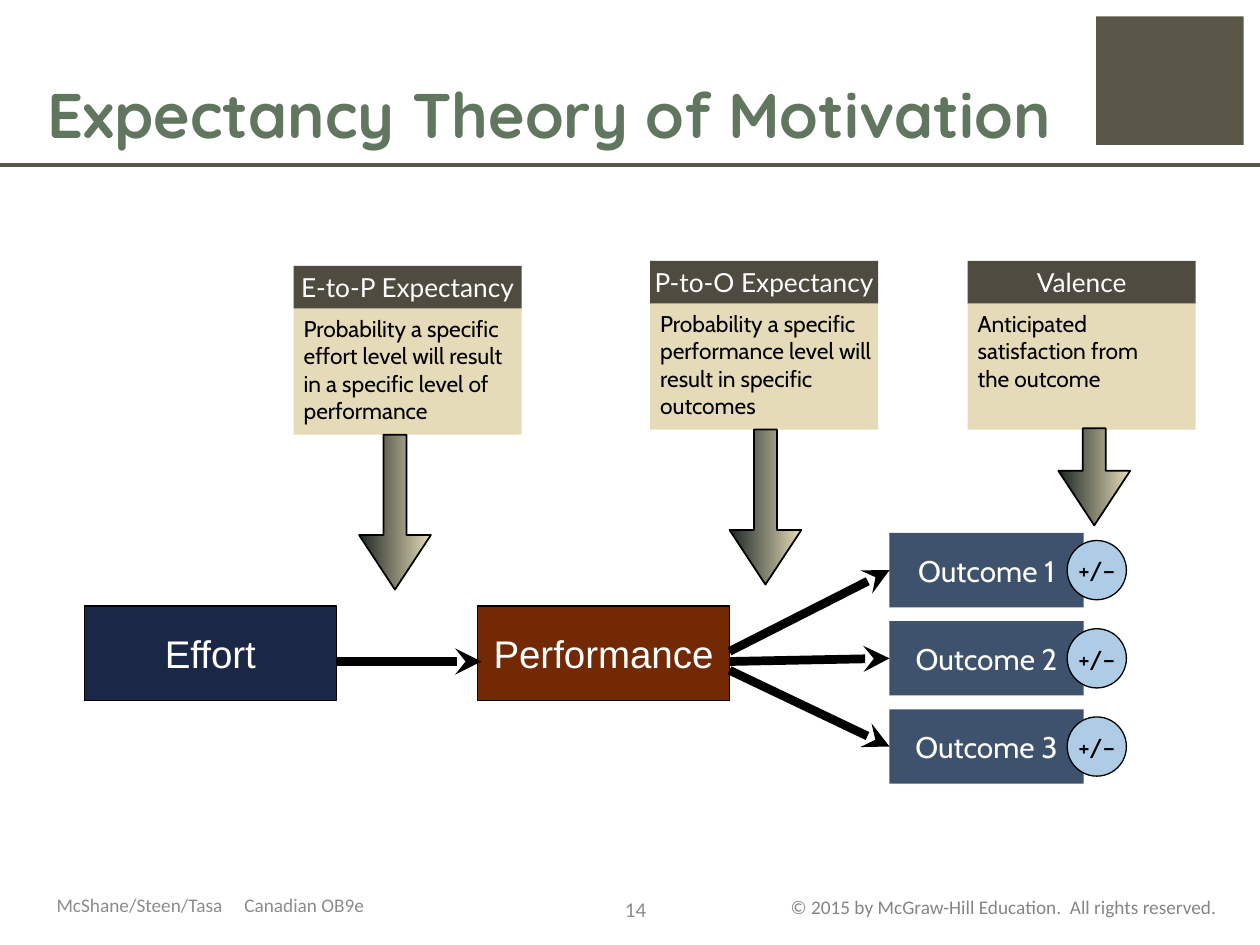
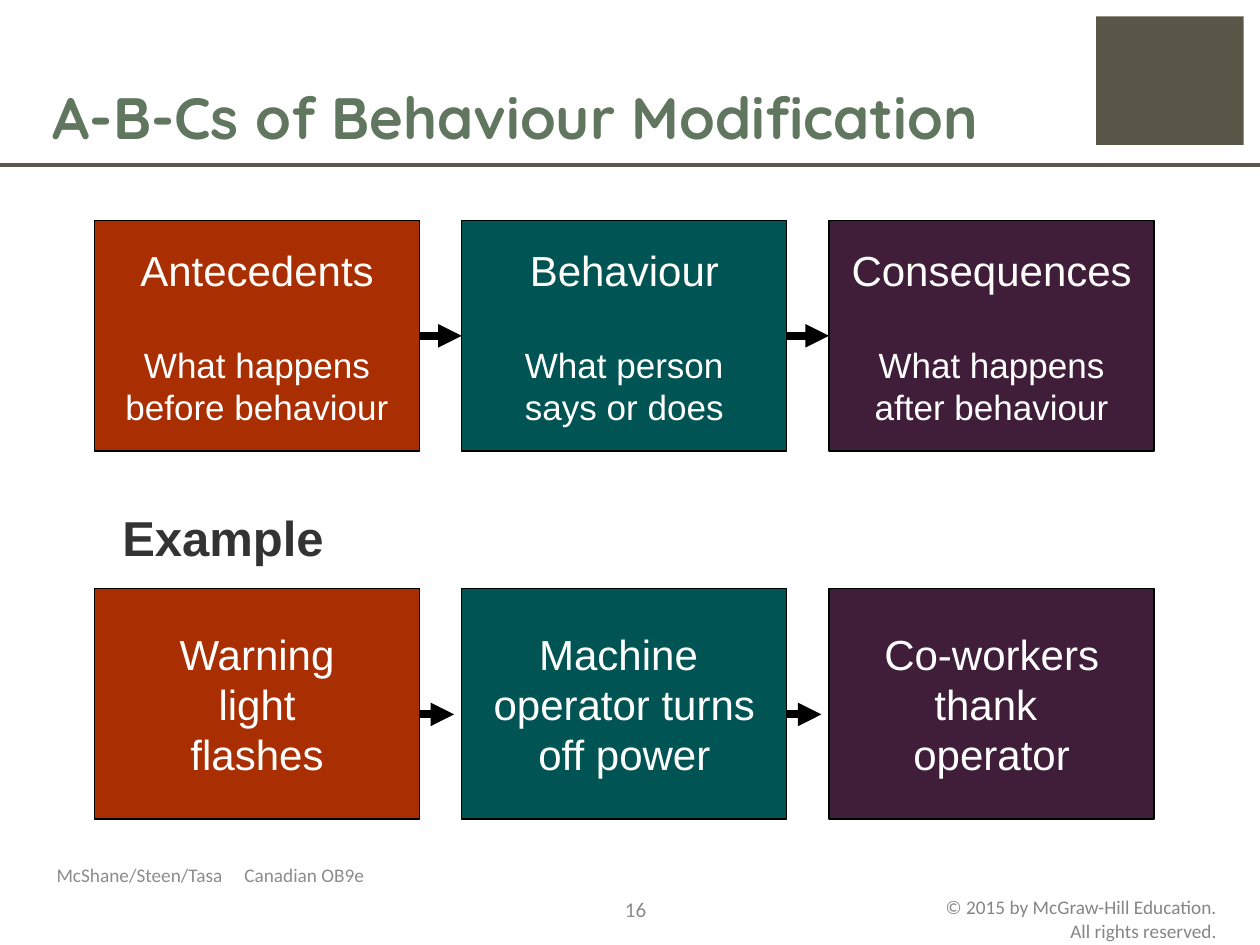
from typing import NamedTuple

from lxml import etree
from pptx import Presentation
from pptx.dml.color import RGBColor
from pptx.enum.shapes import MSO_CONNECTOR, MSO_SHAPE
from pptx.enum.text import MSO_ANCHOR, PP_ALIGN
from pptx.oxml.ns import qn
from pptx.util import Inches, Pt

RECT, OVAL, ARROW = MSO_SHAPE.RECTANGLE, MSO_SHAPE.OVAL, MSO_SHAPE.DOWN_ARROW
STRAIGHT = MSO_CONNECTOR.STRAIGHT
LEFT, CENTER, RIGHT = PP_ALIGN.LEFT, PP_ALIGN.CENTER, PP_ALIGN.RIGHT
TOP, MIDDLE, BOTTOM = MSO_ANCHOR.TOP, MSO_ANCHOR.MIDDLE, MSO_ANCHOR.BOTTOM
LEFT_SIDE, RIGHT_SIDE = 1, 3

COLORS = {
    "black": "000000", "white": "FFFFFF", "cream": "FFFEFB",
    "band": "5B5748", "title": "61765E", "rights": "858585", "foot": "8C8C8C",
    "head": "4F4B40", "sand": "E6DBB9", "dark": "1C2724",
    "slate": "3E526E", "sky": "AECCE6", "navy": "1B2747", "brown": "742905",
    "rust": "A92E01", "teal": "005454", "plum": "401E3A", "label": "333333",
}
EDGES = (0.1, 0.05, 0.1, 0.05)
FLUSH = (0, 0, 0, 0)


class Box(NamedTuple):
    left: float
    top: float
    width: float
    height: float


class Style(NamedTuple):
    font: str
    size: float
    color: str = "white"
    align: PP_ALIGN = CENTER
    anchor: MSO_ANCHOR = MIDDLE
    bold: bool = False
    wrap: bool = True
    insets: tuple = EDGES


class Page(NamedTuple):
    title: str
    size: float
    place: Box
    number: str
    credit: Box
    rights: Box


class Card(NamedTuple):
    left: float
    top: float
    head: str
    body: str
    arrow: Box


class Step(NamedTuple):
    color: str
    name: str
    about: tuple
    example: tuple


HEAD = Style("Lato", 15, insets=FLUSH)
BODY = Style("Cabin", 13, "black", LEFT, TOP, insets=(0.08, 0.05, 0.04, 0))
RESULT = Style("Cabin", 17, insets=FLUSH)
SIGN = Style("Cabin", 14, "black", insets=FLUSH)
STAGE = Style("Arial", 22, wrap=False)
STEP = Style("Arial", 24, wrap=False)
LABEL = Style("Arial", 28, "label", bold=True, wrap=False)
RIGHTS = Style("Calibri", 11, "rights", RIGHT, TOP)
CREDIT = Style("Calibri", 11, "foot", LEFT, TOP)
NUMBER = Style("Calibri", 12, "foot")

PAGES = (
    Page("Expectancy Theory of Motivation", 36, Box(0.28, 0.13, 8.35, 1.12), "14",
         Box(0.35, 7.06, 4.02, 0.31), Box(6.1, 7.06, 3.69, 0.31)),
    Page("A-B-Cs of Behaviour Modification", 33.3, Box(0.32, 0.13, 8.3, 1.12), "16",
         Box(0.35, 6.82, 4.02, 0.55), Box(7.36, 7.06, 2.43, 0.31)),
)
CARDS = (
    Card(2.33, 2.11, "E-to-P Expectancy",
         "Probability a specific effort level will result in a specific level of performance",
         Box(2.85, 3.45, 0.57, 1.23)),
    Card(5.16, 2.07, "P-to-O Expectancy",
         "Probability a specific performance level will result in specific outcomes",
         Box(5.79, 3.41, 0.57, 1.23)),
    Card(7.68, 2.07, "Valence", "Anticipated satisfaction from\vthe outcome",
         Box(8.4, 3.4, 0.57, 0.77)),
)
STEPS = (
    Step("rust", "Antecedents", ("What happens", "before behaviour"),
         ("Warning", "light", "flashes")),
    Step("teal", "Behaviour", ("What person", "says or does"),
         ("Machine ", "operator turns", "off power")),
    Step("plum", "Consequences", ("What happens", "after behaviour"),
         ("Co-workers", "thank ", "operator")),
)


def rgb(name: str) -> RGBColor:
    return RGBColor.from_string(COLORS[name])


def lengths(values):
    return [Inches(v) for v in values]


def set_font(para, style: Style) -> None:
    para.alignment = style.align
    font = para.font
    font.name, font.size, font.bold = style.font, Pt(style.size), style.bold
    font.color.rgb = rgb(style.color)


def write(shape, lines, style: Style):
    frame = shape.text_frame
    frame.word_wrap = style.wrap
    frame.vertical_anchor = style.anchor
    (frame.margin_left, frame.margin_top,
     frame.margin_right, frame.margin_bottom) = lengths(style.insets)
    for i, line in enumerate(lines):
        para = frame.add_paragraph() if i else frame.paragraphs[0]
        para.text = line
        set_font(para, style)
    return frame


def add_text(slide, box: Box, text: str, style: Style):
    return write(slide.shapes.add_textbox(*lengths(box)), [text], style)


def add_box(slide, box: Box, fill: str, line: float = 0, kind=RECT):
    shape = slide.shapes.add_shape(kind, *lengths(box))
    shape.shadow.inherit = False
    shape.fill.solid()
    shape.fill.fore_color.rgb = rgb(fill)
    if line:
        shape.line.color.rgb = rgb("black")
        shape.line.width = Pt(line)
    else:
        shape.line.fill.background()
    return shape


def add_line(slide, start, end, width: float, color: str = "black", tip: str = ""):
    line = slide.shapes.add_connector(STRAIGHT, *lengths(start + end))
    line.line.color.rgb = rgb(color)
    line.line.width = Pt(width)
    props = line._element.spPr
    if tip:
        etree.SubElement(props.find(qn("a:ln")), qn("a:tailEnd"), type=tip)
    etree.SubElement(props, qn("a:effectLst"))
    return line


def add_page(deck, page: Page):
    slide = deck.slides.add_slide(deck.slide_layouts[6])
    # Band and title
    add_box(slide, Box(8.7, 0.13, 1.17, 1.02), "band")
    add_line(slide, (0, 1.31), (10, 1.31), 2.5, "band")
    add_text(slide, page.place, page.title,
             Style("Quicksand", page.size, "title", LEFT, BOTTOM, True))
    # Footers
    add_text(slide, page.rights, "© 2015 by McGraw-Hill Education.  All rights reserved. ", RIGHTS)
    add_text(slide, Box(4.61, 7.06, 0.87, 0.31), page.number, NUMBER)
    frame = add_text(slide, page.credit, "", CREDIT)
    para = frame.paragraphs[0]
    para.text = "McShane/Steen/Tasa\tCanadian OB9e"
    para.line_spacing = 0.9
    tabs = etree.Element(qn("a:tabLst"))
    etree.SubElement(tabs, qn("a:tab"), pos=str(Inches(1.49)), algn="l")
    para._p.pPr.find(qn("a:defRPr")).addprevious(tabs)
    return slide


def add_card(slide, card: Card) -> None:
    width, split = 1.81, 0.34
    head = add_box(slide, Box(card.left, card.top, width, split), "head")
    write(head, [card.head], HEAD)
    body = add_box(slide, Box(card.left, card.top + split, width, 1), "sand")
    write(body, [card.body], BODY)
    arrow = add_box(slide, card.arrow, "sand", 1, ARROW)
    arrow.adjustments[0], arrow.adjustments[1] = 0.32, 0.76
    arrow.fill.gradient()
    arrow.fill.gradient_angle = 0
    for stop, color in zip(arrow.fill.gradient_stops, ("dark", "sand")):
        stop.color.rgb = rgb(color)


def draw_theory(deck) -> None:
    slide = add_page(deck, PAGES[0])
    for card in CARDS:
        add_card(slide, card)
    # Effort and performance
    for left, name, fill in ((0.67, "Effort", "navy"), (3.79, "Performance", "brown")):
        write(add_box(slide, Box(left, 4.81, 2, 0.75), fill, 0.75), [name], STAGE)
    add_line(slide, (2.67, 5.25), (3.82, 5.25), 5, tip="stealth")
    # Outcomes with their signs
    for i, start in enumerate((5.17, 5.25, 5.32)):
        top = 4.23 + 0.7 * i
        result = add_box(slide, Box(7.06, top, 1.54, 0.59), "slate")
        write(result, [f"Outcome {i + 1}"], RESULT)
        sign = add_box(slide, Box(8.47, top + 0.06, 0.47, 0.47), "sky", 0.75, OVAL)
        write(sign, ["+/–"], SIGN)
        line = add_line(slide, (5.79, start), (7.06, top + 0.3), 5, tip="stealth")
        line.end_connect(result, LEFT_SIDE)


def draw_steps(deck) -> None:
    slide = add_page(deck, PAGES[1])
    width, height, pitch = 2.58, 1.83, 2.915
    add_text(slide, Box(0.87, 3.98, 1.8, 0.56), "Example", LABEL)
    last = None
    for i, step in enumerate(STEPS):
        left = 0.75 + pitch * i
        # Definition
        box = add_box(slide, Box(left, 1.75, width, height), step.color, 0.75)
        frame = write(box, (step.name, *step.about), STEP)
        name, *about = frame.paragraphs
        name.font.color.rgb = rgb("cream")
        for para in about:
            para.font.size = Pt(20)
        about[0].space_before = Pt(27.5)
        if last:
            line = add_line(slide, (left, 2.67), (left, 2.67), 4.5, tip="triangle")
            line.begin_connect(last, RIGHT_SIDE)
            line.end_connect(box, LEFT_SIDE)
            add_line(slide, (left - pitch + width, 5.67), (left - 0.06, 5.67),
                     4.5, tip="triangle")
        last = box
        # Example
        case = add_box(slide, Box(left, 4.67, width, height), step.color, 0.75)
        write(case, step.example, STEP)


def main() -> None:
    deck = Presentation()
    deck.slide_width, deck.slide_height = Inches(10), Inches(7.5)
    draw_theory(deck)
    draw_steps(deck)
    deck.save("out.pptx")


if __name__ == "__main__":
    main()
